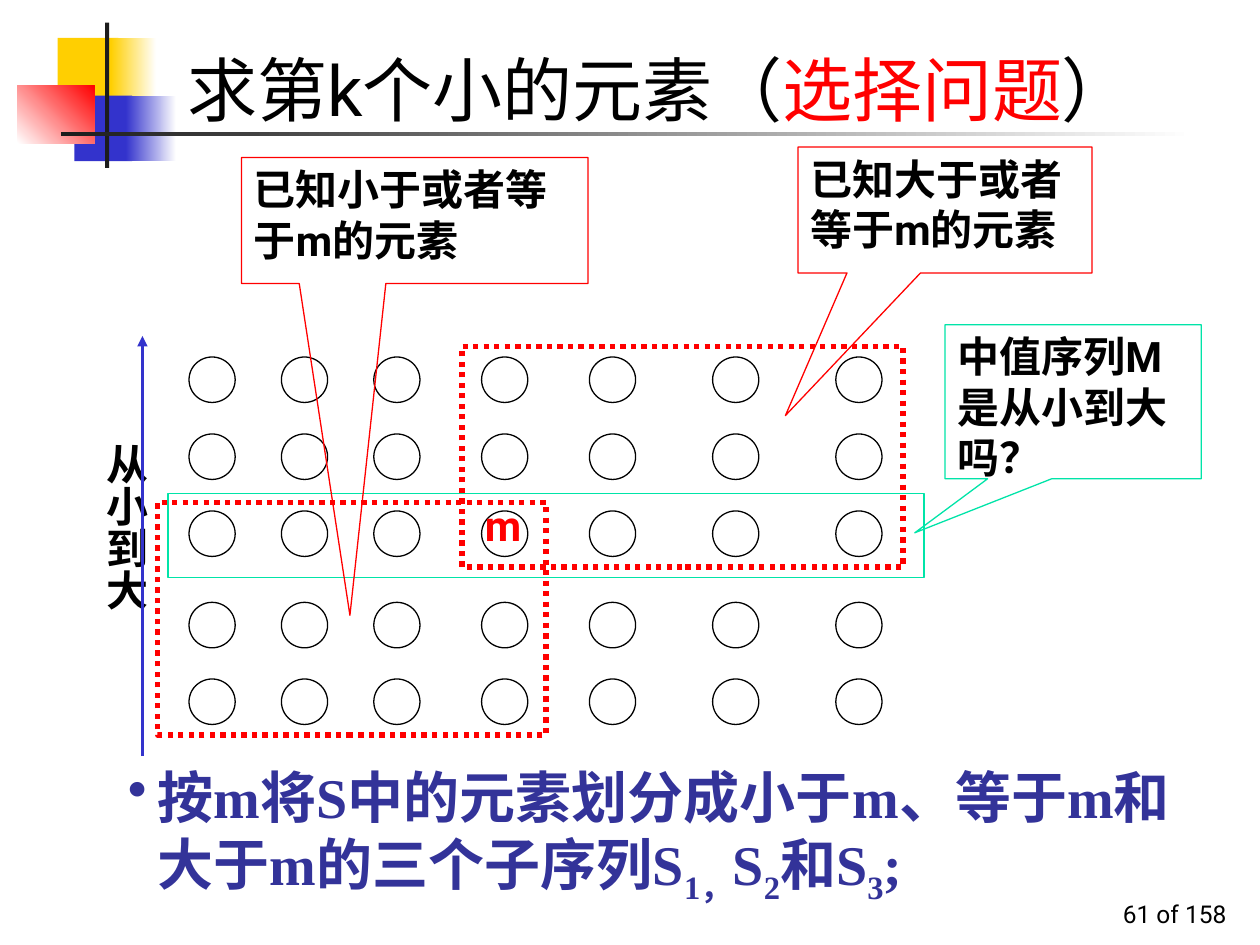
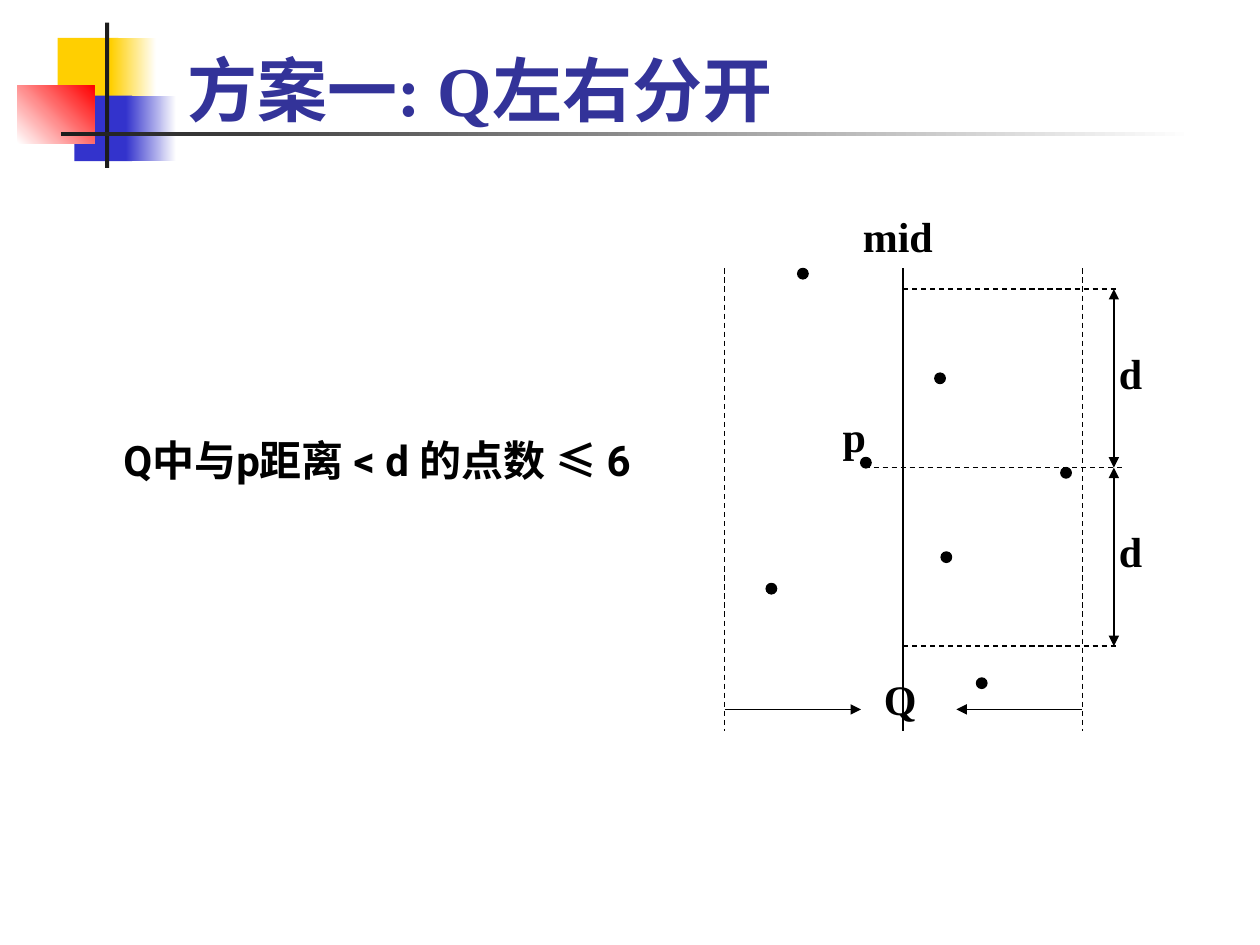
from itertools import product

from lxml.etree import SubElement
from pptx import Presentation
from pptx.dml.color import RGBColor
from pptx.enum.dml import MSO_LINE
from pptx.enum.shapes import MSO_CONNECTOR, MSO_SHAPE
from pptx.enum.text import MSO_ANCHOR, PP_ALIGN
from pptx.oxml.ns import qn
from pptx.util import Pt

COLORS = {
    "black": "000000", "white": "FFFFFF", "ink": "1C1C1C", "red": "FF0000",
    "yellow": "FFCF01", "blue": "3333CC", "navy": "333399", "mint": "00E4A8",
}
LABEL = {"name": "Roboto", "size": Pt(24), "bold": True, "color": "black"}
SERIF = {**LABEL, "name": "Times New Roman"}
TITLE = {**LABEL, "size": Pt(40), "bold": False}
POINT = {**SERIF, "size": Pt(32), "color": "navy"}


def draw(page, kind, at, fill=None, line=None, width=0.75, dash=None, angle=0):
    """Add a shape; a pair of colours as fill makes a gradient."""
    shape = page.shapes.add_shape(kind, *map(Pt, at))
    shape.shadow.inherit = False
    if isinstance(fill, tuple):
        shape.fill.gradient()
        shape.fill.gradient_angle = angle
        for stop, color in zip(shape.fill.gradient_stops, fill):
            stop.color.rgb = RGBColor.from_string(COLORS[color])
    elif fill:
        shape.fill.solid()
        shape.fill.fore_color.rgb = RGBColor.from_string(COLORS[fill])
    else:
        shape.fill.background()
    if line:
        shape.line.color.rgb = RGBColor.from_string(COLORS[line])
        shape.line.width = Pt(width)
        shape.line.dash_style = dash
    else:
        shape.line.fill.background()
    return shape


def write(box, spans, base, anchor=MSO_ANCHOR.TOP, align=PP_ALIGN.LEFT, wrap=True):
    """Fill a box with one paragraph of (text, format changes) spans."""
    frame = box.text_frame
    frame.word_wrap = wrap
    frame.vertical_anchor = anchor
    para = frame.paragraphs[0]
    para.alignment = align
    for text, changes in spans:
        if text == "\n":
            para.add_line_break()
            continue
        span = para.add_run()
        span.text = text
        for key, value in {**base, **changes}.items():
            if key == "color":
                span.font.color.rgb = RGBColor.from_string(COLORS[value])
            elif key == "baseline":
                span._r.get_or_add_rPr().set("baseline", value)
            else:
                setattr(span.font, key, value)
    return para


deck = Presentation()
deck.slide_width, deck.slide_height = Pt(720), Pt(540)
selection, split = [deck.slides.add_slide(deck.slide_layouts[6]) for _ in range(2)]

# Shared title decoration and titles
emblem = [
    ((33, 21.6, 34.6, 37.4), "yellow", 0),
    ((63.4, 21.6, 25.9, 37.4), ("yellow", "white"), 0),
    ((42.5, 54.7, 33.1, 37.4), "blue", 0),
    ((72, 54.7, 28.8, 37.4), ("blue", "white"), 0),
    ((10, 49, 44, 33), ("white", "red"), 45),
    ((60, 13, 2.4, 83), "ink", 0),
    ((34.6, 75.6, 648, 2.2), ("ink", "white"), 0),
]
titles = [
    (selection, TITLE, [("求第k个小的元素（", {}), ("选择问题", {"color": "red"}), ("）", {})]),
    (split, {**TITLE, "name": "Times New Roman", "bold": True, "color": "navy"},
     [("方案一: Q左右分开", {})]),
]
for page, style, spans in titles:
    for at, fill, angle in emblem:
        draw(page, MSO_SHAPE.RECTANGLE, at, fill, angle=angle)
    box = page.shapes.add_textbox(Pt(100), Pt(12.2), Pt(613.4), Pt(66.2))
    write(box, spans, style, MSO_ANCHOR.BOTTOM)

# Selection: page count
box = selection.shapes.add_textbox(Pt(558), Pt(498), Pt(150), Pt(36))
write(box, [("61 of 158", {})], {**LABEL, "size": Pt(14), "bold": False},
      MSO_ANCHOR.BOTTOM, PP_ALIGN.RIGHT)

# Selection: columns of sorted elements
columns = (108, 160.8, 213.6, 275.2, 336.8, 407.2, 477.6)
rows = (204, 248, 292, 344.2, 388)
for left, top in product(columns, rows):
    draw(selection, MSO_SHAPE.OVAL, (left, top, 26.4, 26), line="black")
box = selection.shapes.add_textbox(Pt(270), Pt(282), Pt(36), Pt(36))
write(box, [("m", {"color": "red"})], LABEL)

# Selection: median row and the two known regions
draw(selection, MSO_SHAPE.RECTANGLE, (96, 282, 432, 48), line="mint")
for region in ((90, 287, 222, 133), (264, 198, 252, 126)):
    draw(selection, MSO_SHAPE.RECTANGLE, region, line="red", width=3, dash=MSO_LINE.ROUND_DOT)

# Selection: callouts
callouts = [
    ((540, 185.6, 146.4, 88), "mint", (-0.618, 0.851), ["中值序列M", "\n", "是从小到大吗？"]),
    ((138, 90, 198, 72), "red", (-0.187, 3.134), ["已知小于或者等于m的元素"]),
    ((456, 84, 168, 72), "red", (-0.543, 1.632), ["已知大于或者等于m的元素"]),
]
for at, color, tip, texts in callouts:
    callout = draw(selection, MSO_SHAPE.RECTANGULAR_CALLOUT, at, line=color)
    callout.adjustments[0], callout.adjustments[1] = tip
    write(callout, [(text, {}) for text in texts], LABEL)

# Selection: partition step with its bullet
box = selection.shapes.add_textbox(Pt(66), Pt(432), Pt(618), Pt(89))
sub = {"baseline": "-25000"}
para = write(box, [
    ("按m将S中的元素划分成小于m、等于m和大于m的三个子序列S", {}), ("1，", sub),
    ("S", {}), ("2", sub), ("和S", {}), ("3", sub), (";", {}),
], POINT)
props = para._p.get_or_add_pPr()
props.set("marL", str(Pt(17)))
props.set("indent", str(-Pt(17)))
bullet_color = SubElement(props, qn("a:buClr"))
SubElement(bullet_color, qn("a:srgbClr")).set("val", COLORS["navy"])
SubElement(props, qn("a:buChar")).set("char", "•")

# Selection: vertical label of the order axis
box = selection.shapes.add_textbox(Pt(46.8), Pt(246), Pt(43.2), Pt(132))
write(box, [("从小到大", {})], LABEL)
frame = box.text_frame
frame._txBody.bodyPr.set("vert", "eaVert")
frame.margin_left = frame.margin_right = Pt(3.6)
frame.margin_top = frame.margin_bottom = Pt(7.2)

# Split: scattered points
dots = [(437.8, 333.4), (491.8, 261.4), (558, 387.4), (455.8, 153.4),
        (534.2, 213.2), (606.2, 267.2), (537.8, 315.4)]
for left, top in dots:
    draw(split, MSO_SHAPE.OVAL, (left, top, 6, 6), "black", "black")

# Split: strip labels and the bound
labels = [
    ("mid", 486, 117, 60.5), ("Q", 498, 381.6, 39), ("p", 474.4, 231, 34),
    ("d", 632.2, 195, 34), ("d", 632.2, 297, 34),
]
for text, left, top, width in labels:
    box = split.shapes.add_textbox(Pt(left), Pt(top), Pt(width), Pt(36))
    write(box, [(text, {})], SERIF, wrap=False)
box = split.shapes.add_textbox(Pt(63.4), Pt(245), Pt(340.6), Pt(36))
write(box, [("Q中与p距离 < d 的点数 ", {}), ("≤ ", {"name": "Arial"}), ("6", {})],
      LABEL, wrap=False)

# Lines and arrows: page, from, to, colour, width, dash, arrowheads
strip_left, middle, strip_right = 414, 516, 618.5
strip_top, strip_bottom = 153.4, 417.6
upper, level, lower = 165.2, 267.2, 369.2
gauge, arrow_y = 636.5, 405.4
start, end = "a:headEnd", "a:tailEnd"
dash = MSO_LINE.DASH
lines = [
    (selection, (81.4, 432), (81.4, 192), "blue", 1.5, None, [end]),
    (split, (strip_left, arrow_y), (492, arrow_y), "black", 0.75, None, [end]),
    (split, (strip_right, arrow_y), (546.5, arrow_y), "black", 0.75, None, [end]),
    (split, (494, level), (641.5, level), "black", 0.75, dash, []),
]
for x, style in ((strip_left, dash), (middle, None), (strip_right, dash)):
    lines.append((split, (x, strip_top), (x, strip_bottom), "black", 0.75, style, []))
for y in (upper, lower):
    lines.append((split, (middle, y), (638.6, y), "black", 0.75, dash, []))
    lines.append((split, (gauge, y), (gauge, level), "black", 0.75, None, [start, end]))

for page, begin, finish, color, width, style, heads in lines:
    line = page.shapes.add_connector(MSO_CONNECTOR.STRAIGHT, *map(Pt, begin + finish))
    line.line.color.rgb = RGBColor.from_string(COLORS[color])
    line.line.width = Pt(width)
    line.line.dash_style = style
    spec_props = line._element.spPr
    for head in heads:
        SubElement(spec_props.find(qn("a:ln")), qn(head)).set("type", "triangle")
    SubElement(spec_props, qn("a:effectLst"))

deck.save("out.pptx")
